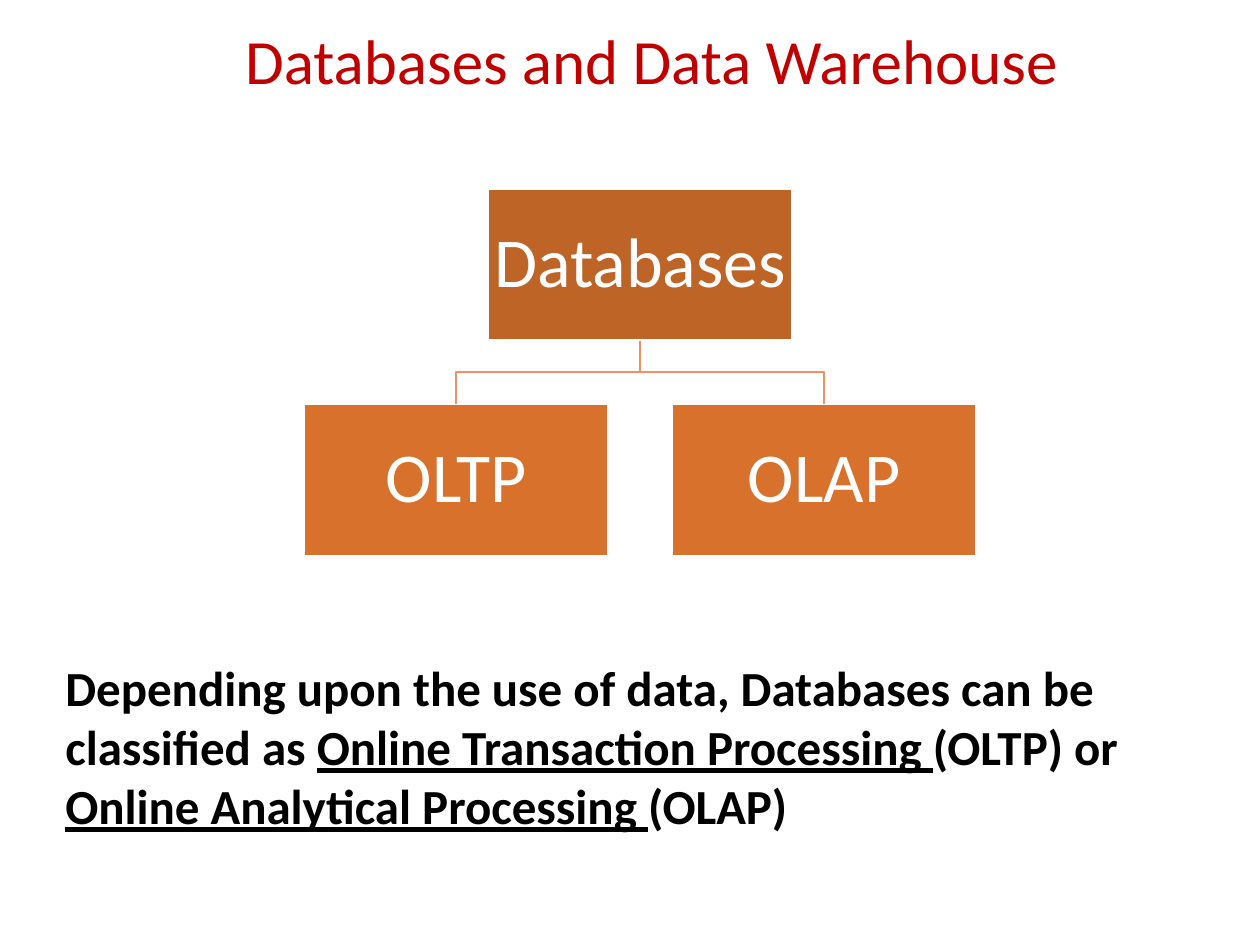
from pptx import Presentation
from pptx import util as u
from pptx.dml.color import RGBColor
from pptx.enum import shapes, text

# Content
TITLE = "Databases and Data Warehouse"
ROOT = "Databases"
BRANCHES = ["OLTP", "OLAP"]
SUMMARY = [  # (wording, underlined)
    ("Depending upon the use of data, Databases can be classified as ", False),
    ("Online Transaction Processing ", True),
    ("(OLTP) or ", False),
    ("Online Analytical Processing ", True),
    ("(OLAP)", False),
]

THEME = {
    "font": "Calibri",
    "title": ("C00000", 36), "node": ("FFFFFF", 40), "summary": ("000000", 28),
    "root": "BE6427", "branch": "D7712C", "link": "EF9166", "edge": "FFFFFF",
}

# Tree geometry in inches
CENTER, NODE_W, NODE_H = 5.08, 2.41, 1.2
ROOT_TOP, BRANCH_TOP, BRANCH_STEP = 1.5, 3.21, 2.92


def style(paragraph, role):
    color, size = THEME[role]
    paragraph.font.name = THEME["font"]
    paragraph.font.size = u.Pt(size)
    paragraph.font.color.rgb = RGBColor.from_string(color)


def add_text_area(slide, left, top, width, height):
    frame = slide.shapes.add_textbox(*map(u.Inches, (left, top, width, height))).text_frame
    frame.word_wrap = True
    return frame


def write_centered(frame, wording, role):
    paragraph = frame.paragraphs[0]
    paragraph.text = wording
    paragraph.alignment = text.PP_ALIGN.CENTER
    paragraph.line_spacing = 0.9
    style(paragraph, role)


def set_line(shape, role):
    shape.line.color.rgb = RGBColor.from_string(THEME[role])
    shape.line.width = u.Pt(1)
    shape.shadow.inherit = False


def add_link(slide, branch_x):
    start, end = ROOT_TOP + NODE_H, BRANCH_TOP
    middle = (start + end) / 2
    builder = slide.shapes.build_freeform(u.Inches(CENTER), u.Inches(start))
    corners = [(CENTER, middle), (branch_x, middle), (branch_x, end)]
    builder.add_line_segments([(u.Inches(x), u.Inches(y)) for x, y in corners], close=False)
    link = builder.convert_to_shape()
    link.fill.background()
    set_line(link, "link")


def add_node(slide, label, center_x, top, role):
    node = slide.shapes.add_shape(
        shapes.MSO_SHAPE.RECTANGLE,
        *map(u.Inches, (center_x - NODE_W / 2, top, NODE_W, NODE_H)))
    node.fill.solid()
    node.fill.fore_color.rgb = RGBColor.from_string(THEME[role])
    set_line(node, "edge")
    frame = node.text_frame
    frame.word_wrap = True
    frame.vertical_anchor = text.MSO_ANCHOR.MIDDLE
    frame.margin_left = frame.margin_right = u.Inches(0.03)
    frame.margin_top = frame.margin_bottom = u.Inches(0.03)
    write_centered(frame, label, "node")


def main():
    deck = Presentation()
    deck.slide_width, deck.slide_height = u.Inches(10), u.Inches(7.5)
    slide = deck.slides.add_slide(deck.slide_layouts[6])

    # Title
    heading = add_text_area(slide, 0.92, 0.25, 8.5, 0.58)
    heading.vertical_anchor = text.MSO_ANCHOR.BOTTOM
    write_centered(heading, TITLE, "title")

    # Tree: links behind, nodes in front
    first_x = CENTER - BRANCH_STEP * (len(BRANCHES) - 1) / 2
    branch_xs = [first_x + i * BRANCH_STEP for i in range(len(BRANCHES))]
    for x in branch_xs:
        add_link(slide, x)
    add_node(slide, ROOT, CENTER, ROOT_TOP, "root")
    for label, x in zip(BRANCHES, branch_xs):
        add_node(slide, label, x, BRANCH_TOP, "branch")

    # Summary
    summary = add_text_area(slide, 0.42, 5.17, 9.08, 1.51).paragraphs[0]
    style(summary, "summary")
    summary.font.bold = True
    for wording, underlined in SUMMARY:
        run = summary.add_run()
        run.text = wording
        run.font.underline = underlined

    deck.save("out.pptx")


if __name__ == "__main__":
    main()
